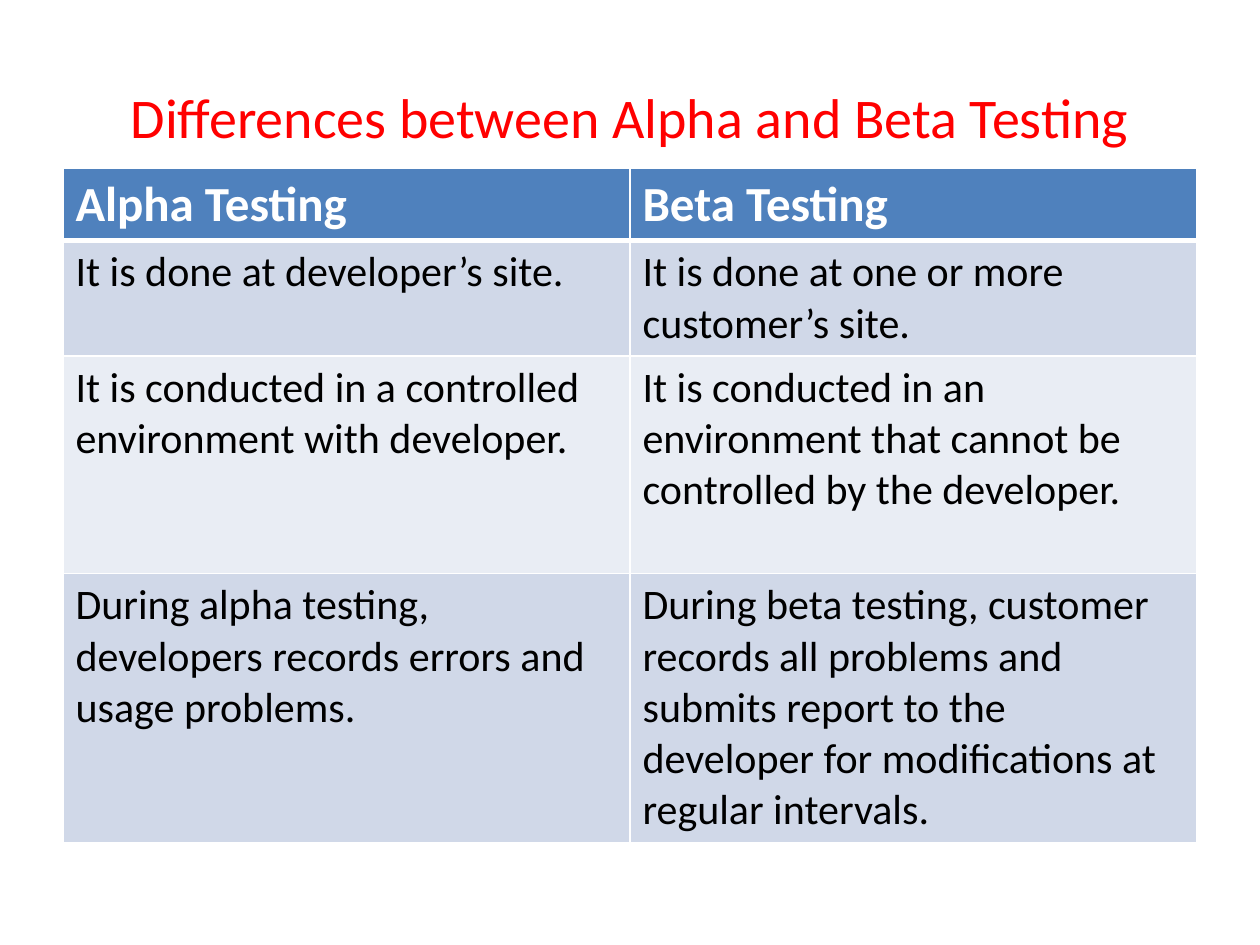
from lxml import etree
from pptx import Presentation
from pptx.dml.color import RGBColor
from pptx.enum.text import MSO_ANCHOR, PP_ALIGN
from pptx.oxml.ns import qn
from pptx.util import Cm, Pt

CENTER = PP_ALIGN.CENTER
MIDDLE = MSO_ANCHOR.MIDDLE
TITLE_ONLY = 5

ROWS = [
    ("Alpha Testing", "Beta Testing"),
    ("It is done at developer’s site.",
     "It is done at one or more customer’s site."),
    ("It is conducted in a controlled environment with developer.",
     "It is conducted in an environment that cannot be controlled by the developer."),
    ("During alpha testing, developers records errors and usage problems.",
     "During beta testing, customer records all problems and submits report "
     "to the developer for modifications at regular intervals."),
]
ROW_HEIGHTS = [1.45, 2.31, 4.39, 5.41]


def color(value):
    return RGBColor.from_string(value)


class ComparisonSlide:
    font = "Calibri"
    title_color = "FF0000"
    header_fill = "4F81BD"
    header_text = "FFFFFF"
    body_text = "000000"
    band_fills = ("E9EDF4", "D0D8E8")
    border_color = "FFFFFF"

    def __init__(self, presentation):
        layout = presentation.slide_layouts[TITLE_ONLY]
        self.slide = presentation.slides.add_slide(layout)

    def add_run(self, paragraph, text, size, text_color, bold=False):
        run = paragraph.add_run()
        run.text = text
        run.font.name = self.font
        run.font.size = Pt(size)
        run.font.bold = bold
        run.font.color.rgb = color(text_color)

    def add_title(self, text, left, top, width, height):
        title = self.slide.shapes.title
        title.left, title.top = Cm(left), Cm(top)
        title.width, title.height = Cm(width), Cm(height)
        title.text_frame.vertical_anchor = MIDDLE
        paragraph = title.text_frame.paragraphs[0]
        paragraph.alignment = CENTER
        self.add_run(paragraph, text, 32, self.title_color)

    def add_borders(self, cell, top, bottom):
        properties = cell._tc.get_or_add_tcPr()
        for side, width in (("L", 1), ("R", 1), ("T", top), ("B", bottom)):
            line = etree.SubElement(properties, qn(f"a:ln{side}"), w=str(Pt(width)))
            fill = etree.SubElement(line, qn("a:solidFill"))
            etree.SubElement(fill, qn("a:srgbClr"), val=self.border_color)

    def fill_cell(self, cell, text, row_index):
        is_header = row_index == 0
        self.add_borders(cell, 3 if row_index == 1 else 1, 3 if is_header else 1)
        cell.fill.solid()
        fill = self.header_fill if is_header else self.band_fills[row_index % 2]
        cell.fill.fore_color.rgb = color(fill)
        paragraph = cell.text_frame.paragraphs[0]
        if is_header:
            self.add_run(paragraph, text, 28, self.header_text, bold=True)
        else:
            self.add_run(paragraph, text, 24, self.body_text)

    def add_table(self, rows, heights, left, top, width):
        frame = self.slide.shapes.add_table(
            len(rows), len(rows[0]), Cm(left), Cm(top), Cm(width), Cm(sum(heights)))
        table = frame.table
        for row_index, (texts, height) in enumerate(zip(rows, heights)):
            table.rows[row_index].height = Cm(height)
            for column_index, text in enumerate(texts):
                self.fill_cell(table.cell(row_index, column_index), text, row_index)


def main():
    presentation = Presentation()
    presentation.slide_width = Cm(25.4)
    presentation.slide_height = Cm(19.05)
    comparison = ComparisonSlide(presentation)
    comparison.add_title("Differences between Alpha and Beta Testing",
                         1.27, 0.76, 22.86, 3.18)
    comparison.add_table(ROWS, ROW_HEIGHTS, 1.27, 3.39, 22.86)
    presentation.save("out.pptx")


if __name__ == "__main__":
    main()
